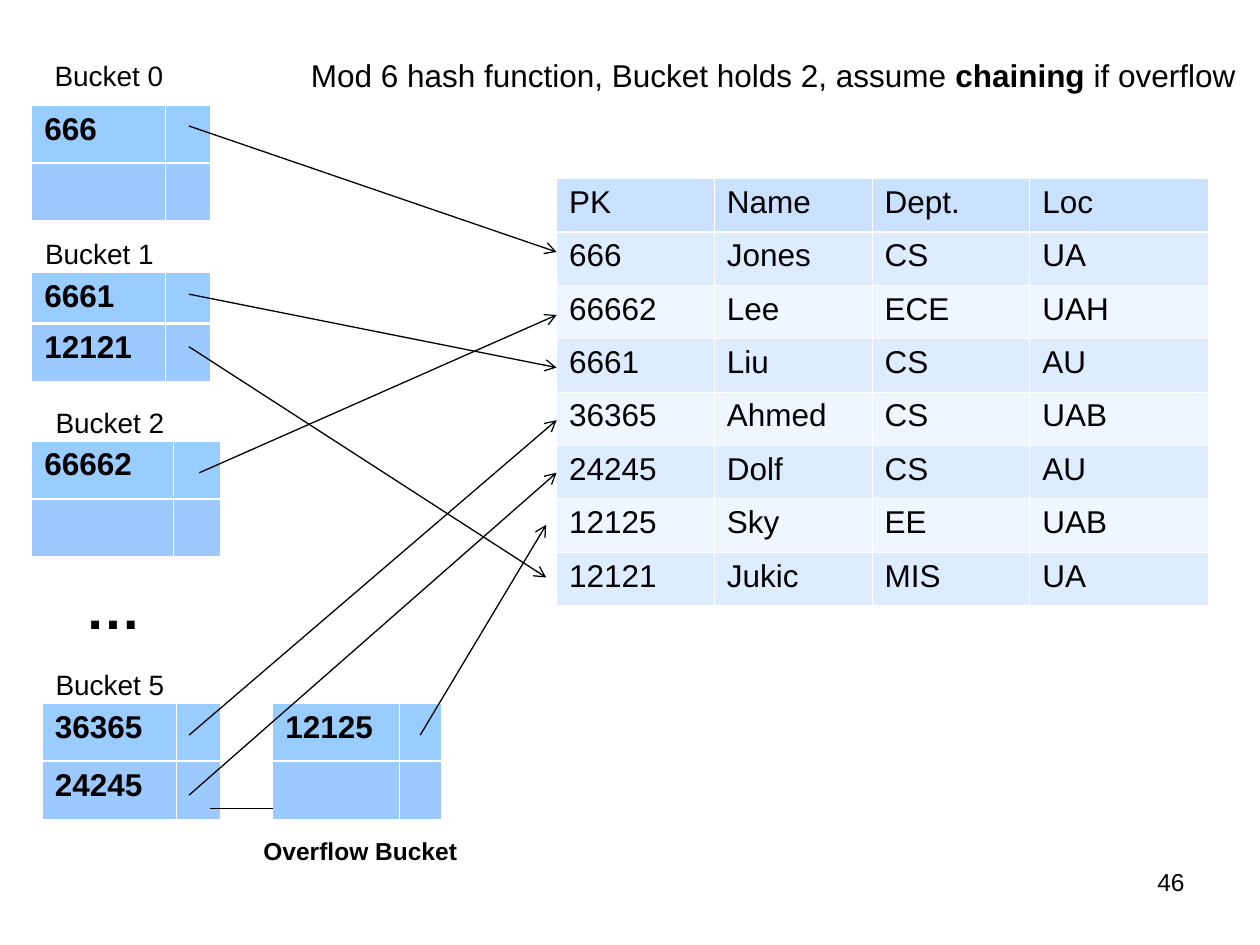
from lxml.etree import SubElement
from pptx import Presentation
from pptx.dml.color import RGBColor
from pptx.enum.shapes import MSO_CONNECTOR as Link
from pptx.enum.text import PP_ALIGN as Align
from pptx.oxml.ns import qn
from pptx.util import Cm, Pt

THIN, THICK = 0.45, 1.47


def tint(code):
    return RGBColor.from_string(code)


def edge(cell, side, width):
    """Give one side (L, R, T or B) of a cell a white border."""
    props = cell._tc.get_or_add_tcPr()
    line = SubElement(props, qn(f"a:ln{side}"), w=str(Pt(width)))
    fill = SubElement(line, qn("a:solidFill"))
    SubElement(fill, qn("a:srgbClr"), val="FFFFFF")


class Deck:
    font = "Arial"
    ink = "000000"

    def __init__(self, slide):
        self.slide = slide

    def run(self, para, text, size, bold=False):
        run = para.add_run()
        run.text = text
        run.font.name = self.font
        run.font.size = Pt(size)
        run.font.bold = bold
        run.font.color.rgb = tint(self.ink)

    def text(self, box, runs, size, wrap=True, align=Align.LEFT):
        """Add a text box; runs are pairs of wording and boldness."""
        frame = self.slide.shapes.add_textbox(*map(Cm, box)).text_frame
        frame.word_wrap = wrap
        para = frame.paragraphs[0]
        para.alignment = align
        for words, bold in runs:
            self.run(para, words, size, bold)

    def table(self, spot, cols, highs, rows, fills, bold=False):
        """Add a table with a thick rule under its first row."""
        box = (*spot, sum(cols), sum(highs))
        table = self.slide.shapes.add_table(
            len(rows), len(cols), *map(Cm, box)).table
        table.first_row = table.horz_banding = False
        for col, width in zip(table.columns, cols):
            col.width = Cm(width)
        for i, (row, high) in enumerate(zip(rows, highs)):
            table.rows[i].height = Cm(high)
            for j, words in enumerate(row):
                cell = table.cell(i, j)
                edge(cell, "L", THIN)
                edge(cell, "R", THIN)
                edge(cell, "T", THICK if i == 1 else THIN)
                edge(cell, "B", THICK if i == 0 else THIN)
                cell.fill.solid()
                cell.fill.fore_color.rgb = tint(fills[i])
                if words:
                    self.run(cell.text_frame.paragraphs[0], words, 18, bold)

    def bucket(self, spot, width, keys, top=1.165):
        """Add a two-slot bucket: keys on the left, pointers on the right."""
        self.table(spot, (width * 3 / 4, width / 4), (top, 1.165),
                   [(key, "") for key in keys], ("99CCFF", "9CC9FF"), True)

    def line(self, start, end, arrow=True):
        link = self.slide.shapes.add_connector(
            Link.STRAIGHT, *map(Cm, start + end))
        link.line.color.rgb = tint(self.ink)
        link.line.width = Pt(0.75)
        if arrow:
            SubElement(link.line._get_or_add_ln(), qn("a:tailEnd"), type="arrow")
        SubElement(link._element.spPr, qn("a:effectLst"))


def main():
    prs = Presentation()
    prs.slide_width, prs.slide_height = Cm(25.4), Cm(19.05)
    deck = Deck(prs.slides.add_slide(prs.slide_layouts[6]))

    deck.text((18.2, 17.36, 5.93, 1.31), [("46", False)], 14, align=Align.RIGHT)

    deck.bucket((0.64, 2.12), 3.6, ("666", ""))
    deck.bucket((0.64, 5.5), 3.6, ("6661", "12121"), top=1.02)
    deck.bucket((0.64, 8.89), 3.81, ("66662", ""))
    deck.bucket((0.85, 14.18), 3.6, ("36365", "24245"))
    deck.bucket((5.5, 14.18), 3.39, ("12125", ""))

    people = [
        ("PK", "Name", "Dept.", "Loc"),
        ("666", "Jones", "CS", "UA"),
        ("66662", "Lee", "ECE", "UAH"),
        ("6661", "Liu", "CS", "AU"),
        ("36365", "Ahmed", "CS", "UAB"),
        ("24245", "Dolf", "CS", "AU"),
        ("12125", "Sky", "EE", "UAB"),
        ("12121", "Jukic", "MIS", "UA"),
    ]
    count = len(people)
    bands = ["CAE2FF"] + ["DEECFF", "EFF6FF"] * (count // 2)
    deck.table((11.22, 3.6), (3.18, 3.18, 3.18, 3.6), [8.61 / count] * count,
               people, bands)

    for start, end in (
        ((4.02, 9.53), (11.22, 6.35)),
        ((3.81, 2.54), (11.22, 5.08)),
        ((3.81, 5.93), (11.22, 7.41)),
        ((3.81, 6.99), (11.01, 11.64)),
        ((3.81, 14.82), (11.22, 8.47)),
        ((3.81, 16.03), (11.22, 9.53)),
        ((8.47, 14.82), (11.01, 10.58)),
    ):
        deck.line(start, end)
    deck.line((4.23, 16.3), (5.5, 16.3), arrow=False)

    deck.text((1.48, 11.43, 1.48, 1.63), [("…", True)], 32)
    deck.text((0.85, 1.06, 3.6, 0.93), [("Bucket 0", False)], 16)
    for name, left, top in (("1", 0.66, 4.65), ("2", 0.87, 8.06),
                            ("5", 0.87, 13.34)):
        deck.text((left, top, 2.7, 0.93), [(f"Bucket {name}", False)], 16,
                  wrap=False)
    deck.text((6.02, 1, 19.18, 1.02),
              [("Mod 6 hash function, Bucket holds 2, assume ", False),
               ("chaining", True), (" if overflow", False)], 18)
    deck.text((5.06, 16.72, 4.42, 0.86), [("Overflow Bucket", True)], 14,
              wrap=False)

    prs.save("out.pptx")


if __name__ == "__main__":
    main()
